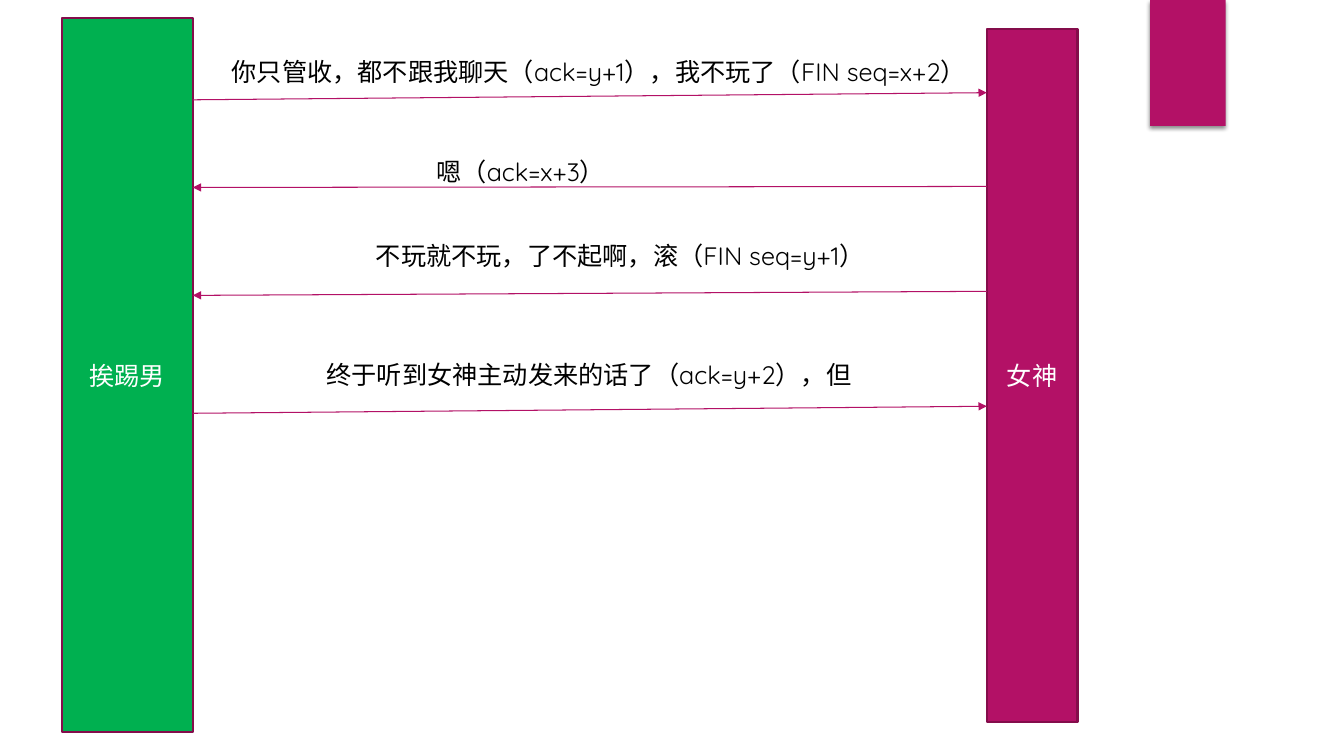
from pptx import Presentation
from pptx.dml.color import RGBColor
from pptx.enum import shapes, text
from pptx.oxml import parse_xml
from pptx.oxml.ns import nsdecls
from pptx.util import Pt

MAGENTA = RGBColor(0xB3, 0x11, 0x66)
PLUM = RGBColor(0x84, 0x0D, 0x4B)
GREEN = RGBColor(0x00, 0xB0, 0x50)
WHITE = RGBColor(0xFF, 0xFF, 0xFF)
BLACK = RGBColor(0x00, 0x00, 0x00)

SHADOW = (
    f'<a:effectLst {nsdecls("a")}>'
    '<a:outerShdw blurRad="38100" dist="25400" dir="5400000" rotWithShape="0">'
    '<a:srgbClr val="000000"><a:alpha val="45000"/></a:srgbClr>'
    '</a:outerShdw></a:effectLst>'
)


def apply(target, values):
    for name, value in values.items():
        setattr(target, name, value)


class Painter:
    font = {"name": "Quicksand", "size": Pt(18)}

    def __init__(self, slide):
        self.shapes = slide.shapes

    def label(self, shape, words, color, align, frame_format):
        frame = shape.text_frame
        apply(frame, frame_format)
        para = frame.paragraphs[0]
        para.alignment = align
        span = para.add_run()
        span.text = words
        apply(span.font, self.font)
        span.font.color.rgb = color

    def block(self, left, top, width, height, fill):
        box = self.shapes.add_shape(
            shapes.MSO_SHAPE.RECTANGLE, Pt(left), Pt(top), Pt(width), Pt(height))
        box.shadow.inherit = False
        box.fill.solid()
        box.fill.fore_color.rgb = fill
        box.line.fill.background()
        return box

    def tab(self, *place):
        properties = self.block(*place, MAGENTA)._element.spPr
        properties.remove(properties.find("{*}effectLst"))
        properties.append(parse_xml(SHADOW))

    def party(self, words, place, fill):
        box = self.block(*place, fill)
        box.line.color.rgb = PLUM
        box.line.width = Pt(1.5)
        self.label(box, words, WHITE, text.PP_ALIGN.CENTER,
                   {"vertical_anchor": text.MSO_ANCHOR.MIDDLE, "word_wrap": True})

    def arrow(self, start, end):
        line = self.shapes.add_connector(
            shapes.MSO_CONNECTOR.STRAIGHT, *map(Pt, start + end))
        line.line.color.rgb = MAGENTA
        line.line.width = Pt(0.75)
        properties = line._element.spPr
        properties.find("{*}ln").append(
            parse_xml(f'<a:tailEnd {nsdecls("a")} type="triangle"/>'))
        properties.append(parse_xml(f'<a:effectLst {nsdecls("a")}/>'))

    def message(self, words, left, top, width, wrap):
        box = self.shapes.add_textbox(Pt(left), Pt(top), Pt(width), Pt(29))
        self.label(box, words, BLACK, text.PP_ALIGN.LEFT,
                   {"word_wrap": wrap,
                    "auto_size": text.MSO_AUTO_SIZE.SHAPE_TO_FIT_TEXT})


deck = Presentation()
apply(deck, {"slide_width": Pt(960), "slide_height": Pt(540)})
page = Painter(deck.slides.add_slide(deck.slide_layouts[6]))

page.tab(821.5, 0, 54, 90)
page.party("女神", (704.9, 20.9, 64.8, 494.6), MAGENTA)
page.party("挨踢男", (44.2, 13, 93.6, 509.8), GREEN)

MAN_EDGE, GODDESS_EDGE = 137.7, 704.9
MESSAGES = [
    ("你只管收，都不跟我聊天（ack=y+1），我不玩了（FIN seq=x+2）",
     158.4, 36.7, 556.6, False, True, 71.3, 66.2),
    ("嗯（ack=x+3）", 304.6, 108, 140, True, False, 133.9, 133.2),
    ("不玩就不玩，了不起啊，滚（FIN seq=y+1）",
     261.4, 167.8, 373.7, False, False, 211, 208.1),
    ("终于听到女神主动发来的话了（ack=y+2），但",
     226.1, 253.4, 398.2, False, True, 295.2, 290.2),
]
for words, left, top, width, wrap, from_man, man_y, goddess_y in MESSAGES:
    ends = [(MAN_EDGE, man_y), (GODDESS_EDGE, goddess_y)]
    page.arrow(*(ends if from_man else reversed(ends)))
    page.message(words, left, top, width, wrap)

deck.save("out.pptx")
